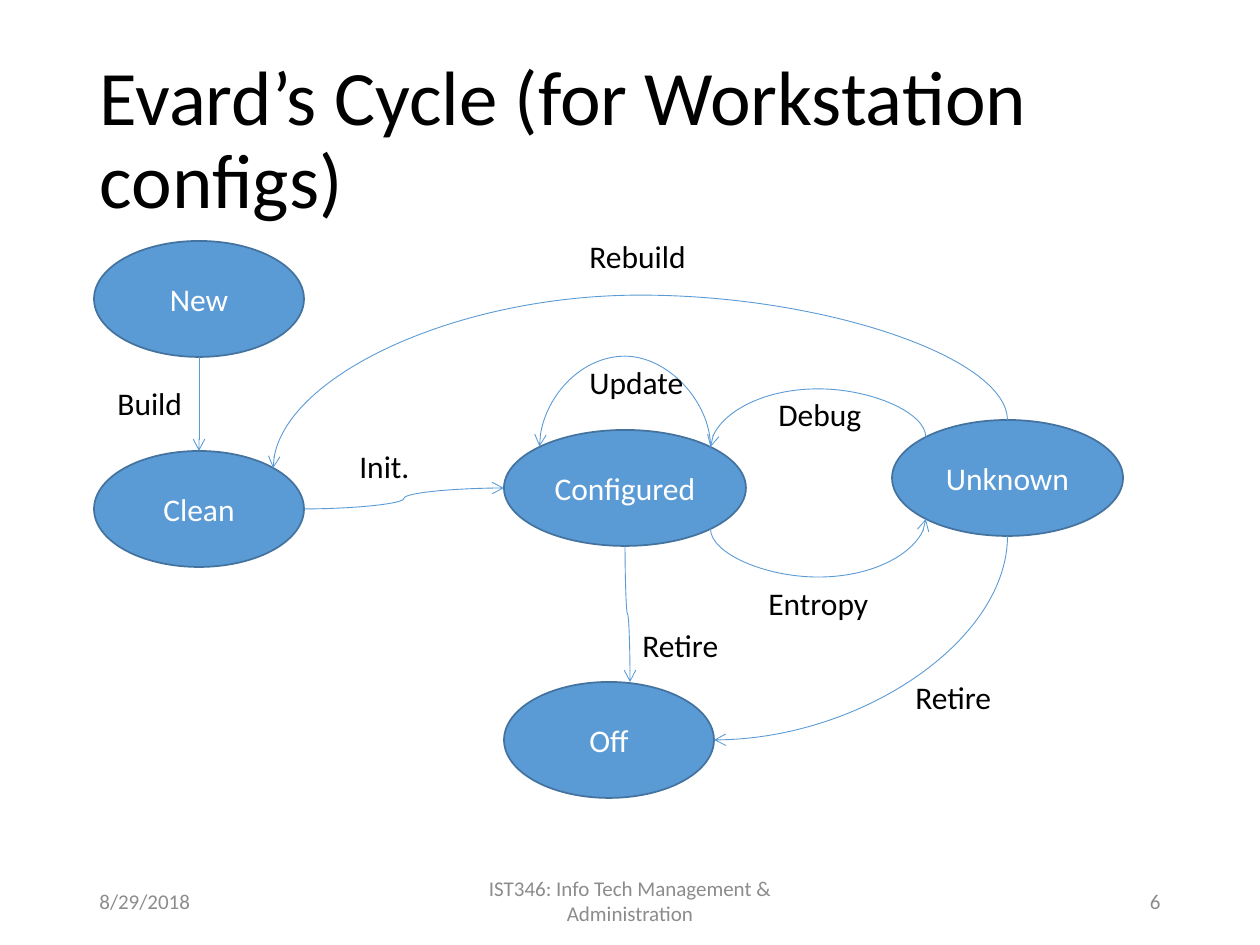
"""Build the slide showing Evard's cycle of workstation states."""
import math
from dataclasses import dataclass
from typing import Optional

import lxml.etree
import pptx
import pptx.dml.color
import pptx.enum.shapes
import pptx.enum.text
import pptx.oxml.ns
import pptx.util

EMU_PER_PX = 914400 / 126
SITES = {"top": 0, "top left": 1, "left": 2, "bottom left": 3,
         "bottom": 4, "bottom right": 5, "right": 6, "top right": 7}
ALIGN = pptx.enum.text.PP_ALIGN
ANCHOR = pptx.enum.text.MSO_ANCHOR


@dataclass(frozen=True)
class Theme:
    font: str = "Calibri"
    title_size: int = 44
    label_size: int = 18
    footer_size: int = 12
    ink: str = "000000"
    paper: str = "FFFFFF"
    fill: str = "5B9BD5"
    outline: str = "43739E"
    muted: str = "8C8C8C"


@dataclass(frozen=True)
class State:
    name: str
    left: int
    top: int
    width: int
    height: int = 116

    def site(self, side: str) -> tuple[float, float]:
        """Return the point of a connection site on the ellipse."""
        angle = math.radians(90 + 45 * SITES[side])
        return (self.left + self.width / 2 * (1 + math.cos(angle)),
                self.top + self.height / 2 * (1 - math.sin(angle)))


@dataclass(frozen=True)
class Arrow:
    start: str
    start_side: str
    end: str
    end_side: str
    preset: str = "curvedConnector3"
    turn: int = 0
    flips: str = ""
    reach: Optional[int] = None
    nudge: int = 0


@dataclass(frozen=True)
class Label:
    text: str
    left: int
    top: int
    width: int
    wrap: bool = False


@dataclass(frozen=True)
class Footer:
    text: str
    left: int
    width: int
    align: ALIGN


THEME = Theme()
STATES = {state.name: state for state in (
    State("New", 94, 241, 210),
    State("Clean", 94, 451, 210),
    State("Off", 504, 682, 210),
    State("Configured", 504, 430, 242),
    State("Unknown", 892, 420, 231),
)}
ARROWS = (
    Arrow("New", "bottom", "Clean", "top", "line"),
    Arrow("Unknown", "top", "Clean", "top right", turn=270, flips="HV", reach=-125),
    Arrow("Clean", "right", "Configured", "left", flips="V"),
    Arrow("Configured", "top right", "Configured", "top left", turn=270, flips="V", reach=92),
    Arrow("Configured", "bottom", "Off", "top", turn=270, flips="H", nudge=21),
    Arrow("Unknown", "bottom", "Off", "right", "curvedConnector2", turn=90),
    Arrow("Configured", "bottom right", "Unknown", "bottom left", turn=90, flips="HV", reach=-48),
    Arrow("Unknown", "top left", "Configured", "top right", turn=270, flips="HV", reach=-48),
)
LABELS = (
    Label("Build", 105, 378, 92),
    Label("Rebuild", 577, 231, 123),
    Label("Update", 577, 357, 121),
    Label("Init.", 347, 441, 116, wrap=True),
    Label("Retire", 630, 620, 105),
    Label("Retire", 903, 672, 105),
    Label("Entropy", 756, 578, 127),
    Label("Debug", 766, 389, 111),
)
FOOTERS = (
    Footer("8/29/2018", 87, 284, ALIGN.LEFT),
    Footer("IST346: Info Tech Management & Administration", 417, 426, ALIGN.CENTER),
    Footer("6", 889, 284, ALIGN.RIGHT),
)


def px(length: float) -> pptx.util.Emu:
    """Turn pixels into EMU."""
    return pptx.util.Emu(round(length * EMU_PER_PX))


def rgb(colour: str) -> pptx.dml.color.RGBColor:
    """Turn a hex string into a colour."""
    return pptx.dml.color.RGBColor.from_string(colour)


def add_element(parent, tag: str, **attributes: str):
    """Append a namespaced XML element."""
    return lxml.etree.SubElement(parent, pptx.oxml.ns.qn(tag), attributes)


def write(shape, text: str, size: int, colour: str, align: ALIGN,
          anchor: ANCHOR = ANCHOR.MIDDLE, wrap: bool = True):
    """Put one formatted paragraph in a shape and return it."""
    frame = shape.text_frame
    frame.word_wrap = wrap
    frame.vertical_anchor = anchor
    para = frame.paragraphs[0]
    para.text = text
    para.alignment = align
    para.font.name = THEME.font
    para.font.size = pptx.util.Pt(size)
    para.font.color.rgb = rgb(colour)
    return para


def draw_title(page, text: str) -> None:
    """Place and fill the title placeholder."""
    title = page.shapes.title
    title.left, title.top, title.width, title.height = map(px, (87, 51, 1086, 183))
    para = write(title, text, THEME.title_size, THEME.ink, ALIGN.LEFT)
    para.line_spacing = 0.9
    title.text_frame.auto_size = pptx.enum.text.MSO_AUTO_SIZE.NONE


def draw_state(page, state: State):
    """Draw a state as an ellipse."""
    shape = page.shapes.add_shape(
        pptx.enum.shapes.MSO_SHAPE.OVAL,
        *map(px, (state.left, state.top, state.width, state.height)))
    shape.shadow.inherit = False
    shape.fill.solid()
    shape.fill.fore_color.rgb = rgb(THEME.fill)
    shape.line.color.rgb = rgb(THEME.outline)
    shape.line.width = pptx.util.Pt(1)
    write(shape, state.name, THEME.label_size, THEME.paper, ALIGN.CENTER)
    return shape


def draw_arrow(page, arrow: Arrow, ovals: dict) -> None:
    """Draw a transition glued to the connection sites of its states."""
    x1, y1 = STATES[arrow.start].site(arrow.start_side)
    x2, y2 = STATES[arrow.end].site(arrow.end_side)
    x2 += arrow.nudge
    width, height = abs(x2 - x1), abs(y2 - y1)
    if arrow.turn:
        width, height = max(height, 1), width
    line = page.shapes.add_connector(pptx.enum.shapes.MSO_CONNECTOR.CURVE, 0, 0, 0, 0)
    line.left, line.top = px((x1 + x2 - width) / 2), px((y1 + y2 - height) / 2)
    line.width, line.height = px(width), px(height)
    line.line.color.rgb = rgb(THEME.fill)
    line.line.width = pptx.util.Pt(0.5)
    properties = line._element.spPr
    properties.xfrm.set("rot", str(arrow.turn * 60000))
    for flip in arrow.flips:
        properties.xfrm.set(f"flip{flip}", "1")
    geometry = properties.find(pptx.oxml.ns.qn("a:prstGeom"))
    geometry.set("prst", arrow.preset)
    if arrow.reach is not None:
        add_element(geometry.find(pptx.oxml.ns.qn("a:avLst")), "a:gd",
                    name="adj1", fmla=f"val {round(arrow.reach / width * 100000)}")
    add_element(properties.find(pptx.oxml.ns.qn("a:ln")), "a:tailEnd", type="arrow")
    add_element(properties, "a:effectLst")
    joints = line._element.find(".//" + pptx.oxml.ns.qn("p:cNvCxnSpPr"))
    ends = [("a:stCxn", arrow.start, arrow.start_side), ("a:endCxn", arrow.end, arrow.end_side)]
    for tag, name, side in ends[:1] if arrow.nudge else ends:
        add_element(joints, tag, id=str(ovals[name].shape_id), idx=str(SITES[side]))


def draw_label(page, label: Label) -> None:
    """Write the name of a transition."""
    box = page.shapes.add_textbox(*map(px, (label.left, label.top, label.width, 50)))
    write(box, label.text, THEME.label_size, THEME.ink, ALIGN.LEFT, ANCHOR.TOP, label.wrap)
    box.text_frame.auto_size = pptx.enum.text.MSO_AUTO_SIZE.SHAPE_TO_FIT_TEXT


def draw_footer(page, footer: Footer) -> None:
    """Write one part of the footer."""
    box = page.shapes.add_textbox(*map(px, (footer.left, 876, footer.width, 50)))
    write(box, footer.text, THEME.footer_size, THEME.muted, footer.align)


def main() -> None:
    """Build and save the deck."""
    deck = pptx.Presentation()
    deck.slide_width, deck.slide_height = px(1260), px(945)
    page = deck.slides.add_slide(deck.slide_layouts[5])
    draw_title(page, "Evard’s Cycle (for Workstation configs)")
    ovals = {name: draw_state(page, state) for name, state in STATES.items()}
    for arrow in ARROWS:
        draw_arrow(page, arrow, ovals)
    for label in LABELS:
        draw_label(page, label)
    for footer in FOOTERS:
        draw_footer(page, footer)
    deck.save("out.pptx")


if __name__ == "__main__":
    main()
